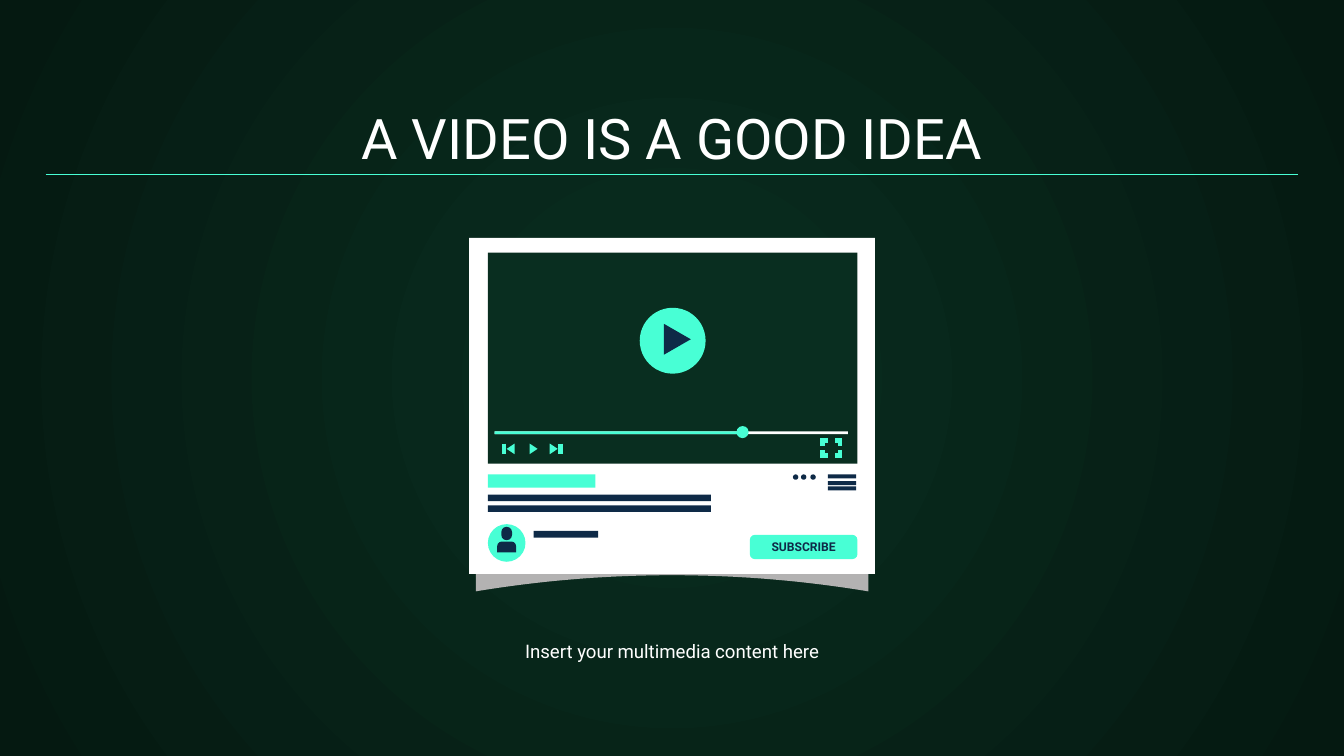
from dataclasses import dataclass
from itertools import product

from lxml import etree
from pptx import Presentation, util as u
from pptx.dml.color import RGBColor
from pptx.enum import shapes, text
from pptx.oxml.ns import qn

FOREST = RGBColor(0x09, 0x2E, 0x20)
DEEP = RGBColor(0x05, 0x19, 0x11)
MINT = RGBColor(0x48, 0xFF, 0xD5)
NAVY = RGBColor(0x0E, 0x2A, 0x47)
GREY = RGBColor(0xB3, 0xB2, 0xB2)
WHITE = RGBColor(0xFF, 0xFF, 0xFF)
FONT = "Roboto"
RECT = shapes.MSO_SHAPE.RECTANGLE
OVAL = shapes.MSO_SHAPE.OVAL
ROUND = shapes.MSO_SHAPE.ROUNDED_RECTANGLE
ROUND_TOP = shapes.MSO_SHAPE.ROUND_2_SAME_RECTANGLE
ICON_LINE = u.Pt(2.45)


@dataclass
class Part:
    left: float
    top: float
    width: float
    height: float
    color: RGBColor
    kind: shapes.MSO_SHAPE = RECT
    corner: float | None = None


@dataclass
class Label:
    left: float
    top: float
    width: float
    height: float
    words: str
    size: float
    anchor: text.MSO_ANCHOR
    spacing: float = 1.0


def write(tf, words: str, size: float, color: RGBColor, bold: bool = False) -> None:
    tf.text = words
    p = tf.paragraphs[0]
    p.alignment = text.PP_ALIGN.CENTER
    f = p.runs[0].font
    f.name, f.size, f.bold = FONT, u.Pt(size), bold
    f.color.rgb = color


def set_margins(tf, inches: float) -> None:
    tf.margin_left = tf.margin_right = u.Inches(inches)
    tf.margin_top = tf.margin_bottom = u.Inches(inches)


def add_label(s, label: Label) -> None:
    box = (label.left, label.top, label.width, label.height)
    tf = s.shapes.add_textbox(*map(u.Inches, box)).text_frame
    tf.word_wrap = True
    tf.vertical_anchor = label.anchor
    set_margins(tf, 0.1)
    write(tf, label.words, label.size, WHITE)
    tf.paragraphs[0].line_spacing = label.spacing


def add_part(group, part: Part):
    box = (part.left, part.top, part.width, part.height)
    sp = group.shapes.add_shape(part.kind, *map(u.Inches, box))
    sp.shadow.inherit = False
    sp.fill.solid()
    sp.fill.fore_color.rgb = part.color
    sp.line.fill.background()
    if part.corner is not None:
        sp.adjustments[0] = part.corner
    return sp


def add_outline(group, points: list, color: RGBColor, closed: bool = True) -> None:
    emu = [(u.Inches(x), u.Inches(y)) for x, y in points]
    builder = group.shapes.build_freeform(*emu[0])
    builder.add_line_segments(emu[1:], close=closed)
    sp = builder.convert_to_shape()
    sp.shadow.inherit = False
    if closed:
        sp.fill.solid()
        sp.fill.fore_color.rgb = color
        sp.line.fill.background()
    else:
        sp.fill.background()
        sp.line.color.rgb = color
        sp.line.width = ICON_LINE
        ln = sp._element.spPr.find(qn("a:ln"))
        etree.SubElement(ln, qn("a:miter"), lim="800000")


def add_triangle(group, left: float, top: float, width: float, height: float,
                 color: RGBColor) -> None:
    points = [(left, top), (left, top + height), (left + width, top + height / 2)]
    add_outline(group, points, color)


def add_curled_shadow(group) -> None:
    steps = [i / 20 for i in range(-20, 21)]
    curve = [(5 + 1.46 * t, 0.12 * t * t) for t in steps]
    top = [(x, 2.11 + dy) for x, dy in curve]
    bottom = [(x, 4.28 + dy) for x, dy in reversed(curve)]
    add_outline(group, top + bottom, GREY)


def add_controls(group) -> None:
    for left in (3.94, 4.09):
        add_triangle(group, left, 3.3, 0.06, 0.08, MINT)
    add_triangle(group, 3.83, 3.3, -0.06, 0.08, MINT)
    for x in (3.75, 4.17):
        add_outline(group, [(x, 3.3), (x, 3.38)], MINT, closed=False)
    for (x, dx), (y, dy) in product(((6.12, 0.04), (6.25, -0.04)),
                                    ((3.28, 0.04), (3.39, -0.04))):
        add_outline(group, [(x, y + dy), (x, y), (x + dx, y)], MINT, closed=False)


def set_background(s) -> None:
    fill = s.background.fill
    fill.gradient()
    for stop, color in zip(fill.gradient_stops, (FOREST, DEEP)):
        stop.color.rgb = color
    grad = s.element.xpath(".//a:gradFill")[0]
    for lin in grad.findall(qn("a:lin")):
        grad.remove(lin)
    radial = etree.SubElement(grad, qn("a:path"), path="circle")
    centre = dict.fromkeys("ltrb", "50000")
    etree.SubElement(radial, qn("a:fillToRect"), centre)


def add_rule(s) -> None:
    ends = map(u.Inches, (0.34, 1.3, 9.66, 1.3))
    line = s.shapes.add_connector(shapes.MSO_CONNECTOR.STRAIGHT, *ends)
    line.line.color.rgb = MINT
    line.line.width = u.Pt(0.75)
    etree.SubElement(line._element.spPr, qn("a:effectLst"))


LABELS = [
    Label(0.34, 0.71, 9.32, 0.66, "A VIDEO IS A GOOD IDEA", 30, text.MSO_ANCHOR.BOTTOM),
    Label(3.36, 4.64, 3.28, 0.39, "Insert your multimedia content here", 10,
          text.MSO_ANCHOR.TOP, 1.15),
]
PARTS = [
    Part(3.49, 1.77, 3.02, 2.5, WHITE),
    Part(3.63, 1.88, 2.75, 1.57, FOREST),
    Part(3.68, 3.21, 2.63, 0.02, WHITE),
    Part(3.68, 3.21, 1.84, 0.02, MINT),
    Part(4.76, 2.29, 0.49, 0.49, MINT, OVAL),
    Part(5.48, 3.17, 0.09, 0.09, MINT, OVAL),
    Part(3.63, 3.53, 0.8, 0.1, MINT),
    *[Part(3.63, y, 1.66, 0.05, NAVY) for y in (3.68, 3.76)],
    Part(3.97, 3.95, 0.48, 0.05, NAVY),
    *[Part(6.16, y, 0.21, 0.03, NAVY) for y in (3.53, 3.58, 3.62)],
    *[Part(x, 3.53, 0.04, 0.04, NAVY, OVAL) for x in (5.9, 5.96, 6.03)],
    Part(3.63, 3.9, 0.28, 0.28, MINT, OVAL),
    Part(3.73, 3.92, 0.08, 0.1, NAVY, ROUND, 0.5),
    Part(3.7, 4.03, 0.14, 0.08, NAVY, ROUND_TOP, 0.4),
]
BUTTON = Part(5.58, 3.98, 0.8, 0.18, MINT, ROUND, 0.2)


def main() -> None:
    prs = Presentation()
    prs.slide_width = u.Inches(10)
    prs.slide_height = u.Inches(10 * 9 / 16)
    s = prs.slides.add_slide(prs.slide_layouts[6])
    set_background(s)
    for label in LABELS:
        add_label(s, label)

    player = s.shapes.add_group_shape()
    add_curled_shadow(player)
    for part in PARTS:
        add_part(player, part)
    add_triangle(player, 4.94, 2.41, 0.2, 0.23, NAVY)
    add_controls(player)
    tf = add_part(player, BUTTON).text_frame
    set_margins(tf, 0)
    tf.word_wrap = False
    tf.vertical_anchor = text.MSO_ANCHOR.MIDDLE
    write(tf, "SUBSCRIBE", 6.5, NAVY, bold=True)

    add_rule(s)
    prs.save("out.pptx")


if __name__ == "__main__":
    main()
